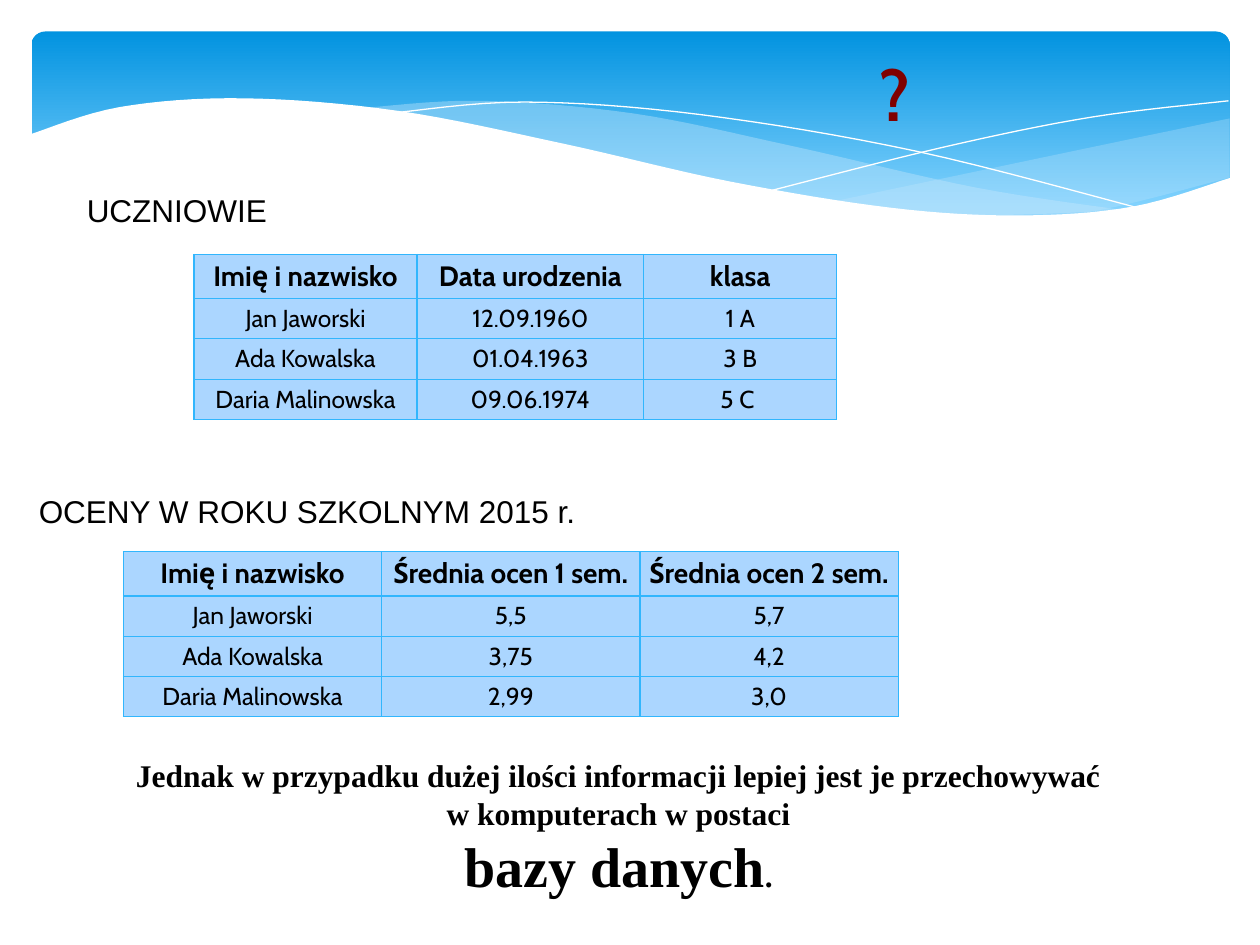
from lxml import etree
from pptx import Presentation, util as u
from pptx.dml.color import RGBColor
from pptx.enum import shapes, text
from pptx.oxml.ns import qn

HUES = {"top": "0293E0", "low": "83D3FE", "mist": "C6E7FC", "white": "FFFFFF",
        "cell": "ABD6FF", "edge": "31B6FD", "ink": "000000", "mark": "800000"}

TABLES = [
    {"at": (1.54, 2.02), "cols": (1.77, 1.8, 1.53), "head": "top", "rows": [
        ("Imię i nazwisko", "Data urodzenia", "klasa"),
        ("Jan Jaworski", "12.09.1960", "1 A"),
        ("Ada Kowalska", "01.04.1963", "3 B"),
        ("Daria Malinowska", "09.06.1974", "5 C ")]},
    {"at": (0.98, 4.38), "cols": (2.05,) * 3, "head": "mid", "rows": [
        ("Imię i nazwisko", "Średnia ocen 1 sem.", "Średnia ocen 2 sem."),
        ("Jan Jaworski", "5,5", "5,7"),
        ("Ada Kowalska", "3,75", "4,2"),
        ("Daria Malinowska", "2,99", "3,0")]},
]
HEADS = [
    ("UCZNIOWIE", (0.59, 1.47, 1.65, 0.4)),
    ("OCENY W ROKU SZKOLNYM 2015 r.", (0.21, 3.86, 4.5, 0.4)),
]
CLOSING = [
    [("Jednak w przypadku dużej ilości informacji lepiej jest je przechowywać ", 18)],
    [("w komputerach w postaci ", 18)],
    [("bazy danych", 32), (". ", 18)],
]

WAVES = [
    {"fill": "mist", "alpha": 29, "curves": [
        [(9.76, 0.94), (8.61, 1.18), (6.61, 1.6)],
        [(6.61, 1.6), (7.57, 1.7), (8.54, 1.7), (9.76, 1.41)]]},
    {"fill": "mist", "alpha": 40, "curves": [
        [(8.93, 1.67), (7.75, 1.49), (6.29, 1.16), (5.02, 0.9), (3.8, 0.8), (2.86, 0.86)],
        [(2.86, 0.86), (4.49, 1.16), (6.01, 1.5), (7.48, 1.7), (8.93, 1.67)]]},
    {"line": "white", "curves": [
        [(3.09, 0.9), (4.16, 0.81), (5.56, 0.91), (7.27, 1.2), (9.07, 1.66)]]},
    {"line": "white", "curves": [
        [(6.13, 1.51), (7.48, 1.17), (8.66, 0.93), (9.75, 0.8)]]},
    {"fill": "white", "curves": [
        [(9.77, 1.41), (8.99, 1.64), (8.09, 1.71), (7.08, 1.65), (5.79, 1.44),
         (4.47, 1.14), (3.16, 0.88), (1.93, 0.78), (0.95, 0.85), (0.23, 1.07)],
        [(0.23, 2.24), (9.77, 2.24)]]},
]
STEPS = 8


def hue(name):
    return RGBColor.from_string(HUES[name])


def box(*nums):
    return [u.Inches(n) for n in nums]


def add_run(para, words, size, face, bold=False, tone="ink"):
    run = para.add_run()
    run.text = words
    font = run.font
    font.size, font.name, font.bold = u.Pt(size), face, bold
    font.color.rgb = hue(tone)


def blend(a, b, c, d, t):
    return b + t / 2 * (c - a + t * (2 * a - 5 * b + 4 * c - d
                                     + t * (3 * (b - c) + d - a)))


def smooth(knots):
    ends = [knots[0], *knots, knots[-1]]
    spots = [knots[0]]
    for quad in zip(ends, ends[1:], ends[2:], ends[3:]):
        for step in range(1, STEPS + 1):
            spots.append([blend(*axis, step / STEPS) for axis in zip(*quad)])
    return spots


def draw_wave(slide, curves, fill=None, alpha=None, line=None):
    spots = [box(*p) for knots in curves for p in smooth(knots)]
    pen = slide.shapes.build_freeform(*spots[0], scale=1.0)
    pen.add_line_segments(spots[1:], close=bool(fill))
    wave = pen.convert_to_shape()
    wave.shadow.inherit = False
    if fill:
        wave.fill.solid()
        wave.fill.fore_color.rgb = hue(fill)
        wave.line.fill.background()
    else:
        wave.fill.background()
        wave.line.color.rgb = hue(line)
        wave.line.width = u.Pt(0)
    if alpha:
        tint = wave._element.spPr.find(".//" + qn("a:srgbClr"))
        etree.SubElement(tint, qn("a:alpha"), val=str(alpha * 1000))


def draw_band(slide):
    band = slide.shapes.add_shape(shapes.MSO_SHAPE.ROUNDED_RECTANGLE,
                                  *box(0.25, 0.25, 9.51, 1.56))
    band.adjustments[0] = 0.07
    band.shadow.inherit = False
    band.line.fill.background()
    band.fill.gradient()
    band.fill.gradient_angle = 270
    for stop, name, spot in zip(band.fill.gradient_stops, ("top", "low"), (0, 0.9)):
        stop.color.rgb = hue(name)
        stop.position = spot


def rule_cell(cell):
    props = cell._tc.get_or_add_tcPr()
    for i, side in enumerate(("lnL", "lnR", "lnT", "lnB")):
        line = etree.Element(qn("a:" + side), w=str(u.Pt(0.75)))
        paint = etree.SubElement(line, qn("a:solidFill"))
        etree.SubElement(paint, qn("a:srgbClr"), val=HUES["edge"])
        props.insert(i, line)


def draw_table(slide, at, cols, head, rows):
    tall = [0.35] + [0.32] * (len(rows) - 1)
    grid = slide.shapes.add_table(len(rows), len(cols),
                                  *box(*at, sum(cols), sum(tall))).table
    grid.first_row = grid.horz_banding = False
    for col, wide in zip(grid.columns, cols):
        col.width = u.Inches(wide)
    for r, row in enumerate(rows):
        grid.rows[r].height = u.Inches(tall[r])
        for c, words in enumerate(row):
            cell = grid.cell(r, c)
            cell.margin_left = cell.margin_right = u.Inches(0.04)
            cell.margin_top = cell.margin_bottom = u.Inches(0.04)
            high = r == 0 and head == "top"
            cell.vertical_anchor = text.MSO_ANCHOR.TOP if high else text.MSO_ANCHOR.MIDDLE
            cell.fill.solid()
            cell.fill.fore_color.rgb = hue("cell")
            rule_cell(cell)
            para = cell.text_frame.paragraphs[0]
            para.alignment = text.PP_ALIGN.CENTER
            add_run(para, words, 14 if r else 16, "Cabin", r == 0)


def main():
    deck = Presentation()
    deck.slide_width, deck.slide_height = box(10, 7.5)
    slide = deck.slides.add_slide(deck.slide_layouts[5])
    draw_band(slide)
    for wave in WAVES:
        draw_wave(slide, **wave)
    for table in TABLES:
        draw_table(slide, **table)
    for words, at in HEADS:
        frame = slide.shapes.add_textbox(*box(*at)).text_frame
        frame.word_wrap = False
        add_run(frame.paragraphs[0], words, 18, "Arial")

    frame = slide.shapes.add_textbox(*box(0.21, 5.95, 9.46, 1.25)).text_frame
    frame.word_wrap = True
    para = frame.paragraphs[0]
    para.alignment = text.PP_ALIGN.CENTER
    for i, line in enumerate(CLOSING):
        if i:
            para.add_line_break()
        for words, size in line:
            add_run(para, words, size, "Times New Roman", True)

    title = slide.shapes.title
    title.left, title.top, title.width, title.height = box(4.53, 0.33, 5.14, 0.82)
    title.text_frame.vertical_anchor = text.MSO_ANCHOR.MIDDLE
    para = title.text_frame.paragraphs[0]
    para.alignment = text.PP_ALIGN.CENTER
    add_run(para, "?", 40, "Cabin", True, "mark")
    slide.shapes._spTree.append(title._element)
    deck.save("out.pptx")


if __name__ == "__main__":
    main()
